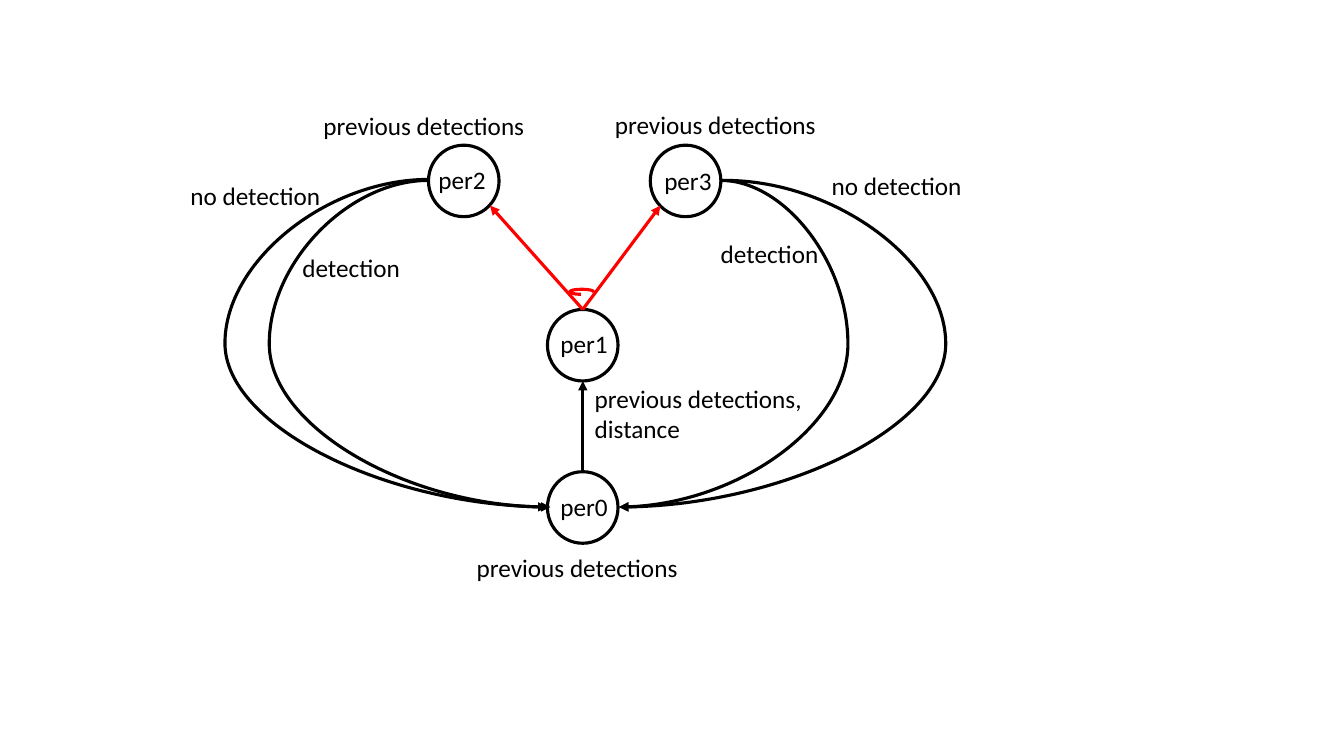
from lxml import etree
from pptx import Presentation
from pptx.dml.color import RGBColor
from pptx.enum.shapes import MSO_CONNECTOR, MSO_SHAPE
from pptx.oxml.ns import qn
from pptx.util import Inches, Pt

STRAIGHT, CURVE = MSO_CONNECTOR.STRAIGHT, MSO_CONNECTOR.CURVE
OVAL, ARC = MSO_SHAPE.OVAL, MSO_SHAPE.ARC
BLACK = RGBColor(0, 0, 0)
WHITE = RGBColor(255, 255, 255)
RED = RGBColor(255, 0, 0)
LINE_WIDTH = Pt(2.25)
NODE_WIDTH, NODE_HEIGHT = 0.7, 0.71

NODES = [(5.43, 4.68), (5.43, 3.07), (4.25, 1.44), (6.45, 1.44)]
LABELS = [
    ("per0", 5.46, 4.83, 0.67, 0.4, True),
    ("per1", 5.46, 3.21, 0.82, 0.4, True),
    ("per2", 4.25, 1.58, 0.7, 0.4, True),
    ("per3", 6.49, 1.59, 0.7, 0.4, True),
    ("previous detections", 4.63, 5.43, 2.28, 0.4, True),
    ("previous detections", 3.11, 1.05, 2.28, 0.4, True),
    ("previous detections", 6, 1.04, 2.28, 0.4, True),
    ("previous detections, distance", 5.8, 3.75, 2.28, 0.71, True),
    ("detection", 2.9, 2.45, 1.18, 0.4, False),
    ("detection", 7.05, 2.32, 1.18, 0.4, False),
    ("no detection", 1.79, 1.74, 1.51, 0.4, False),
    ("no detection", 8.15, 1.64, 1.51, 0.4, False),
]
ARROWS = [
    (5.78, 4.68, 5.78, 3.78, BLACK),
    (5.78, 3.07, 4.86, 2.04, RED),
    (5.78, 3.07, 6.55, 2.04, RED),
]
RETURN_PATHS = [
    (4.25, 1.79, 5.43, 5.03, 2.67),
    (7.15, 1.79, 6.14, 5.03, 8.41),
    (4.25, 1.78, 5.46, 5.03, 2.23),
    (7.19, 1.79, 6.14, 5.03, 9.38),
]


def add_node(s, x, y):
    node = s.shapes.add_shape(OVAL, Inches(x), Inches(y),
                              Inches(NODE_WIDTH), Inches(NODE_HEIGHT))
    node.shadow.inherit = False
    node.fill.solid()
    node.fill.fore_color.rgb = WHITE
    node.line.color.rgb = BLACK
    node.line.width = LINE_WIDTH


def add_label(s, text, x, y, w, h, wrap):
    tf = s.shapes.add_textbox(Inches(x), Inches(y), Inches(w), Inches(h)).text_frame
    tf.word_wrap = wrap
    r = tf.paragraphs[0].add_run()
    r.text = text
    r.font.name = "Calibri"
    r.font.size = Pt(18)
    r.font.color.rgb = BLACK


def add_arrow(s, x1, y1, x2, y2, color, kind=STRAIGHT):
    arrow = s.shapes.add_connector(kind, Inches(x1), Inches(y1), Inches(x2), Inches(y2))
    arrow.line.color.rgb = color
    arrow.line.width = LINE_WIDTH
    etree.SubElement(arrow.line._get_or_add_ln(), qn("a:tailEnd"), type="triangle")
    etree.SubElement(arrow._element.spPr, qn("a:effectLst"))
    return arrow


def add_return_path(s, x1, y1, x2, y2, bulge_x):
    arrow = add_arrow(s, x1, y1, x2, y2, BLACK, CURVE)
    geometry = arrow._element.spPr.find(qn("a:prstGeom"))
    bulge = round((bulge_x - x1) / (x2 - x1) * 100000)
    etree.SubElement(geometry.find(qn("a:avLst")), qn("a:gd"),
                     name="adj1", fmla=f"val {bulge}")


def add_angle_mark(s):
    arc = s.shapes.add_shape(ARC, Inches(5.65), Inches(2.87), Inches(0.24), Inches(0.05))
    arc.shadow.inherit = False
    arc.adjustments[0] = 107.69 * 0.6
    arc.adjustments[1] = 0
    arc.fill.background()
    arc.line.color.rgb = RED
    arc.line.width = LINE_WIDTH


def main():
    prs = Presentation()
    prs.slide_width, prs.slide_height = Inches(13.33), Inches(7.5)
    s = prs.slides.add_slide(prs.slide_layouts[6])
    for node in NODES:
        add_node(s, *node)
    for label in LABELS:
        add_label(s, *label)
    for arrow in ARROWS:
        add_arrow(s, *arrow)
    add_angle_mark(s)
    for return_path in RETURN_PATHS:
        add_return_path(s, *return_path)
    prs.save("out.pptx")


if __name__ == "__main__":
    main()
